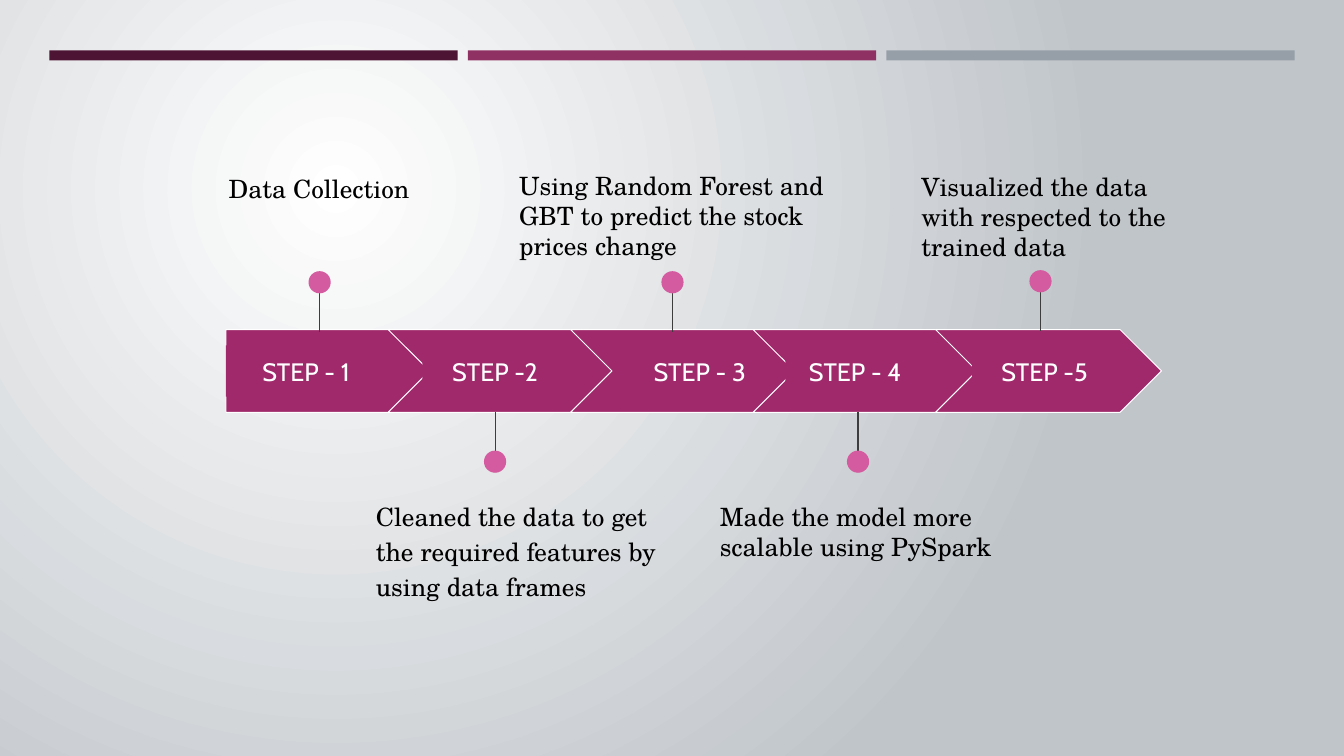
from lxml import etree
from pptx import Presentation
from pptx import util as u
from pptx.dml.color import RGBColor
from pptx.enum import shapes, text
from pptx.oxml.ns import qn

WIDTH, HEIGHT = 13.33, 7.5
BAR_LEFT, BAR_PITCH, BAR_WIDTH = 0.49, 4.15, 4.05
BAR_COLOURS = ["4D1434", "903163", "969FA7"]

ARROW_TOP, ARROW_HEIGHT, ARROW_WIDTH = 3.27, 0.82, 2.24
ARROW_LEFT, ARROW_PITCH = 2.04, 1.81
FIRST_INSET = 0.2
LABEL_HEIGHT = 0.51
DOT, STEM = 0.22, 0.38

MAGENTA, PINK, STEM_GREY = "9F296B", "D45B9F", "3D3D3D"
WHITE, BLACK = "FFFFFF", "000000"
CENTRE, LEFT = text.PP_ALIGN.CENTER, text.PP_ALIGN.LEFT

# label, label left, label width, pin x, pin base y, direction of the pin
STEPS = [
    ("STEP - 1", 2.24, 1.59, 3.17, 3.29, -1),
    ("STEP -2", 4.19, 1.44, 4.91, 4.09, 1),
    ("STEP - 3", 6.22, 1.44, 6.67, 3.29, -1),
    ("STEP - 4 ", 7.79, 1.44, 8.51, 4.09, 1),
    ("STEP -5", 9.64, 1.44, 10.32, 3.28, -1),
]

# wording, (left, top, width, height), alignment, line spacing
NOTES = [
    ("Data Collection", (2.16, 1.67, 2.01, 0.71), CENTRE, 1.0),
    ("Cleaned the data to get the required features by using data frames",
     (3.63, 4.88, 3.04, 1.13), LEFT, 1.15),
    ("Using Random Forest and GBT to predict the stock prices change",
     (5.05, 1.64, 3.59, 1.31), LEFT, 1.0),
    ("Made the model more scalable using PySpark",
     (7.04, 4.92, 3.11, 1.0), LEFT, 1.0),
    ("Visualized the data with respected to the trained data",
     (9.04, 1.65, 2.96, 1.31), LEFT, 1.0),
]


def colour(hex_code):
    return RGBColor.from_string(hex_code)


def paint_background(slide):
    """Fill the slide with a circular gradient centred in its upper left quarter."""
    fill = slide.background.fill
    fill.gradient()
    for stop, shade in zip(fill.gradient_stops, (WHITE, "C0C5CA")):
        stop.color.rgb = colour(shade)
    gradient = slide._element.find(".//" + qn("a:gradFill"))
    gradient.remove(gradient.find(qn("a:lin")))
    circle = etree.SubElement(gradient, qn("a:path"), path="circle")
    etree.SubElement(circle, qn("a:fillToRect"),
                     l="50000", t="50000", r="100000", b="100000")


def add_block(slide, kind, box, fill, outline=None):
    block = slide.shapes.add_shape(kind, *map(u.Inches, box))
    block.shadow.inherit = False
    block.fill.solid()
    block.fill.fore_color.rgb = colour(fill)
    if outline:
        block.line.color.rgb = colour(outline)
        block.line.width = u.Pt(0.75)
    else:
        block.line.fill.background()
    return block


def write(frame, wording, font, shade, align, spacing=1.0):
    frame.word_wrap = True
    frame.text = wording
    paragraph = frame.paragraphs[0]
    paragraph.alignment = align
    paragraph.line_spacing = spacing
    run_font = paragraph.runs[0].font
    run_font.name = font
    run_font.size = u.Pt(18)
    run_font.color.rgb = colour(shade)


def add_arrow(slide, index):
    first = index == 0
    inset = FIRST_INSET if first else 0
    kind = shapes.MSO_SHAPE.PENTAGON if first else shapes.MSO_SHAPE.CHEVRON
    box = (ARROW_LEFT + index * ARROW_PITCH + inset, ARROW_TOP,
           ARROW_WIDTH - inset, ARROW_HEIGHT)
    add_block(slide, kind, box, MAGENTA, WHITE)


def add_label(slide, wording, left, width):
    top = ARROW_TOP + (ARROW_HEIGHT - LABEL_HEIGHT) / 2
    label = add_block(slide, shapes.MSO_SHAPE.RECTANGLE,
                      (left, top, width, LABEL_HEIGHT), MAGENTA)
    frame = label.text_frame
    frame.vertical_anchor = text.MSO_ANCHOR.MIDDLE
    frame.margin_top = frame.margin_bottom = u.Inches(0.1)
    write(frame, wording, "Cabin", WHITE, CENTRE)


def add_pin(slide, x, base, direction):
    """Draw a stem from the arrow band with a dot at its far end."""
    tip = base + direction * STEM
    stem = slide.shapes.add_connector(
        shapes.MSO_CONNECTOR.STRAIGHT, *map(u.Inches, (x, tip, x, base)))
    stem.line.color.rgb = colour(STEM_GREY)
    stem.line.width = u.Pt(0.75)
    etree.SubElement(stem._element.spPr, qn("a:effectLst"))
    dot_top = tip + (direction - 1) * DOT / 2
    add_block(slide, shapes.MSO_SHAPE.OVAL,
              (x - DOT / 2, dot_top, DOT, DOT), PINK)


def add_note(slide, wording, box, align, spacing):
    note = slide.shapes.add_textbox(*map(u.Inches, box))
    write(note.text_frame, wording, "TeX Gyre Schola", BLACK, align, spacing)


def main():
    deck = Presentation()
    deck.slide_width, deck.slide_height = u.Inches(WIDTH), u.Inches(HEIGHT)
    slide = deck.slides.add_slide(deck.slide_layouts[6])
    paint_background(slide)
    for column, shade in enumerate(BAR_COLOURS):
        add_block(slide, shapes.MSO_SHAPE.RECTANGLE,
                  (BAR_LEFT + column * BAR_PITCH, 0.5, BAR_WIDTH, 0.1), shade)
    for index, (wording, left, width, *_) in enumerate(STEPS):
        add_arrow(slide, index)
        add_label(slide, wording, left, width)
    for *_, x, base, direction in STEPS:
        add_pin(slide, x, base, direction)
    for note in NOTES:
        add_note(slide, *note)
    deck.save("out.pptx")


if __name__ == "__main__":
    main()
